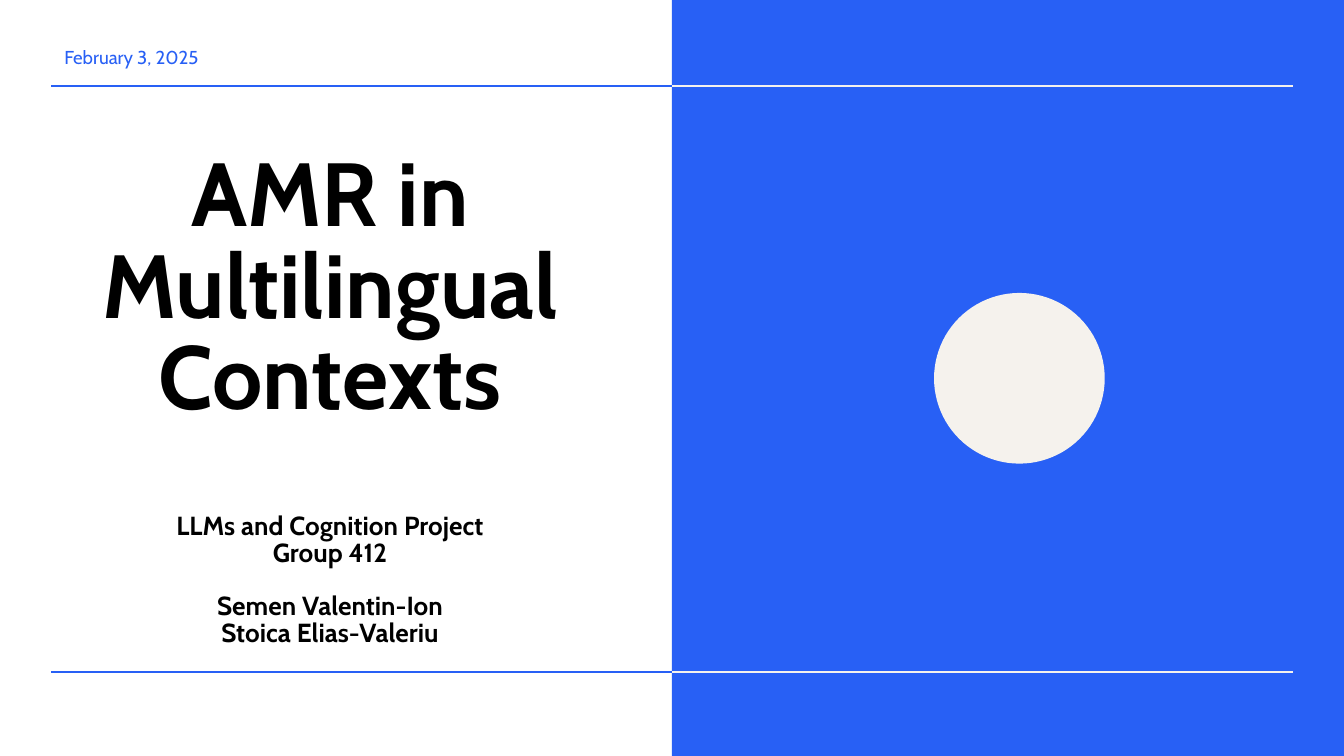
from lxml.etree import SubElement
from pptx import Presentation
from pptx.dml.color import RGBColor
from pptx.enum.shapes import MSO_CONNECTOR, MSO_SHAPE
from pptx.enum.text import MSO_ANCHOR, PP_ALIGN
from pptx.oxml.ns import qn
from pptx.util import Inches, Pt

BLUE, CREAM, BLACK, WHITE = "2860F5", "F5F2ED", "000000", "FFFFFF"
WIDTH = 10
HEIGHT = WIDTH * 9 / 16
MIDDLE, MARGIN, COLUMN = WIDTH / 2, 0.38, 4.25


def color(value):
    return RGBColor.from_string(value)


def write(tf, lines, size=14, fill=BLACK, bold=False, align=PP_ALIGN.LEFT,
          spacing=1.0, gaps=None):
    for i, line in enumerate(lines):
        p = tf.paragraphs[0] if i == 0 else tf.add_paragraph()
        p.alignment = align
        p.line_spacing = spacing
        p.space_before = Pt((gaps or {}).get(i, 0))
        r = p.add_run()
        r.text = line
        r.font.name = "Cabin"
        r.font.size = Pt(size)
        r.font.bold = bold
        r.font.color.rgb = color(fill)


class Deck:
    def __init__(self):
        self.prs = Presentation()
        self.prs.slide_width = Inches(WIDTH)
        self.prs.slide_height = Inches(HEIGHT)
        self.s = self.prs.slides.add_slide(self.prs.slide_layouts[6])
        self.s.background.fill.solid()
        self.s.background.fill.fore_color.rgb = color(WHITE)

    def shape(self, kind, x, y, w, h, fill):
        sp = self.s.shapes.add_shape(kind, Inches(x), Inches(y), Inches(w), Inches(h))
        sp.shadow.inherit = False
        sp.fill.solid()
        sp.fill.fore_color.rgb = color(fill)
        sp.line.fill.background()

    def text(self, y, h, lines, left=0.0, anchor=MSO_ANCHOR.MIDDLE, **style):
        sp = self.s.shapes.add_textbox(Inches(MARGIN), Inches(y), Inches(COLUMN), Inches(h))
        tf = sp.text_frame
        tf.word_wrap = True
        tf.vertical_anchor = anchor
        tf.margin_left = Inches(left)
        tf.margin_top = tf.margin_right = tf.margin_bottom = Inches(0.1)
        write(tf, lines, **style)

    def rule(self, x1, x2, y, fill):
        c = self.s.shapes.add_connector(
            MSO_CONNECTOR.STRAIGHT, Inches(x1), Inches(y), Inches(x2), Inches(y))
        c.line.color.rgb = color(fill)
        c.line.width = Pt(0.75)
        SubElement(c._element.spPr, qn("a:effectLst"))


def main():
    deck = Deck()
    deck.shape(MSO_SHAPE.RECTANGLE, MIDDLE, 0, WIDTH - MIDDLE, HEIGHT, BLUE)
    heading = dict(bold=True, align=PP_ALIGN.CENTER, spacing=0.85)
    deck.text(0.75, 2.83, ["AMR in Multilingual Contexts"], size=48, **heading)
    deck.shape(MSO_SHAPE.OVAL, 6.95, 2.18, 1.27, 1.27, CREAM)
    deck.text(0.21, 0.43, ["February 3, 2025"], left=0.1, size=10, fill=BLUE)
    for y in (0.64, 5):
        deck.rule(MIDDLE, WIDTH - MARGIN, y, CREAM)
        deck.rule(MARGIN, MIDDLE, y, BLUE)
    credits = ["LLMs and Cognition Project", "Group 412",
               "Semen Valentin-Ion", "Stoica Elias-Valeriu"]
    deck.text(3.73, 1.27, credits, anchor=MSO_ANCHOR.TOP, gaps={2: 14}, **heading)
    deck.prs.save("out.pptx")


if __name__ == "__main__":
    main()
